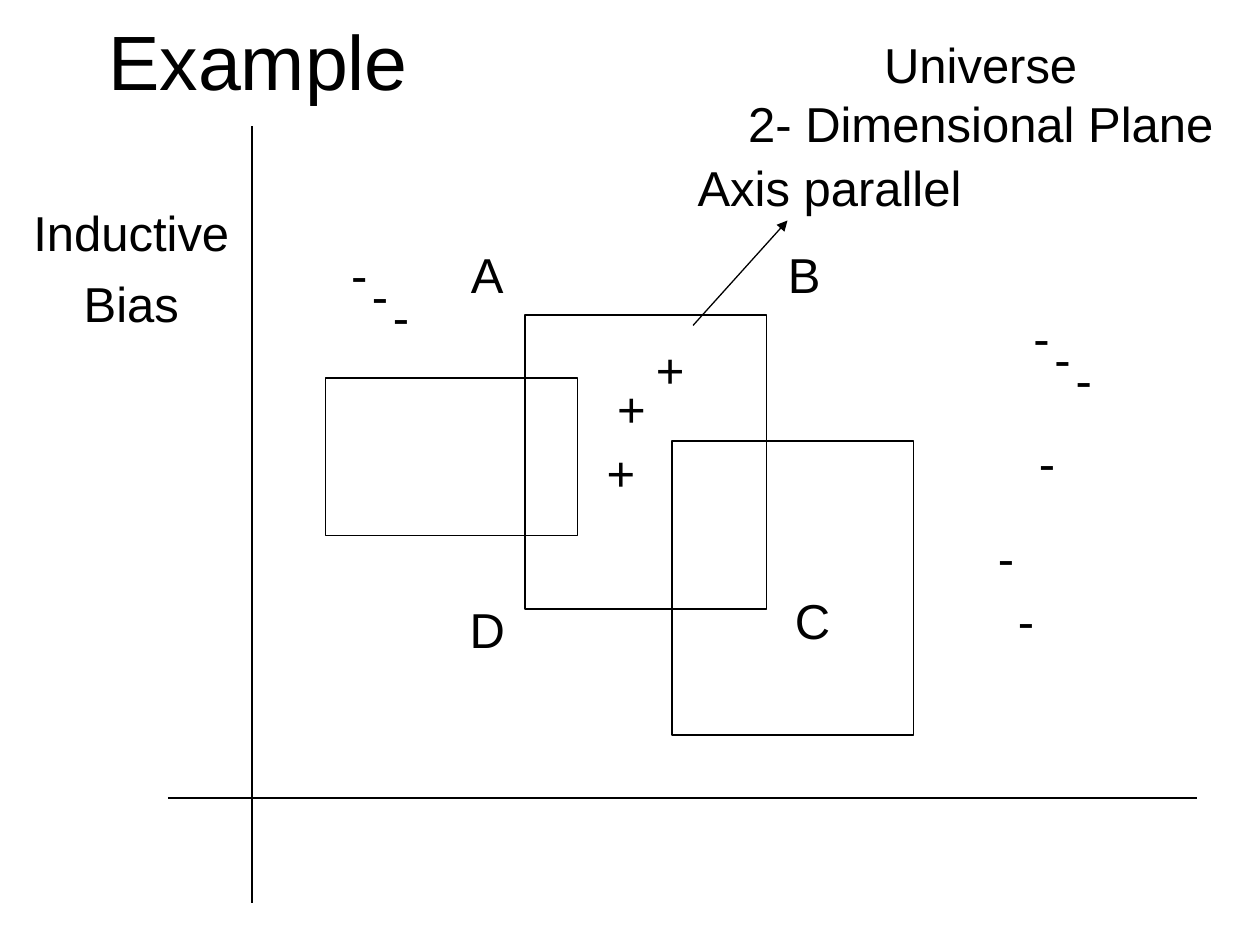
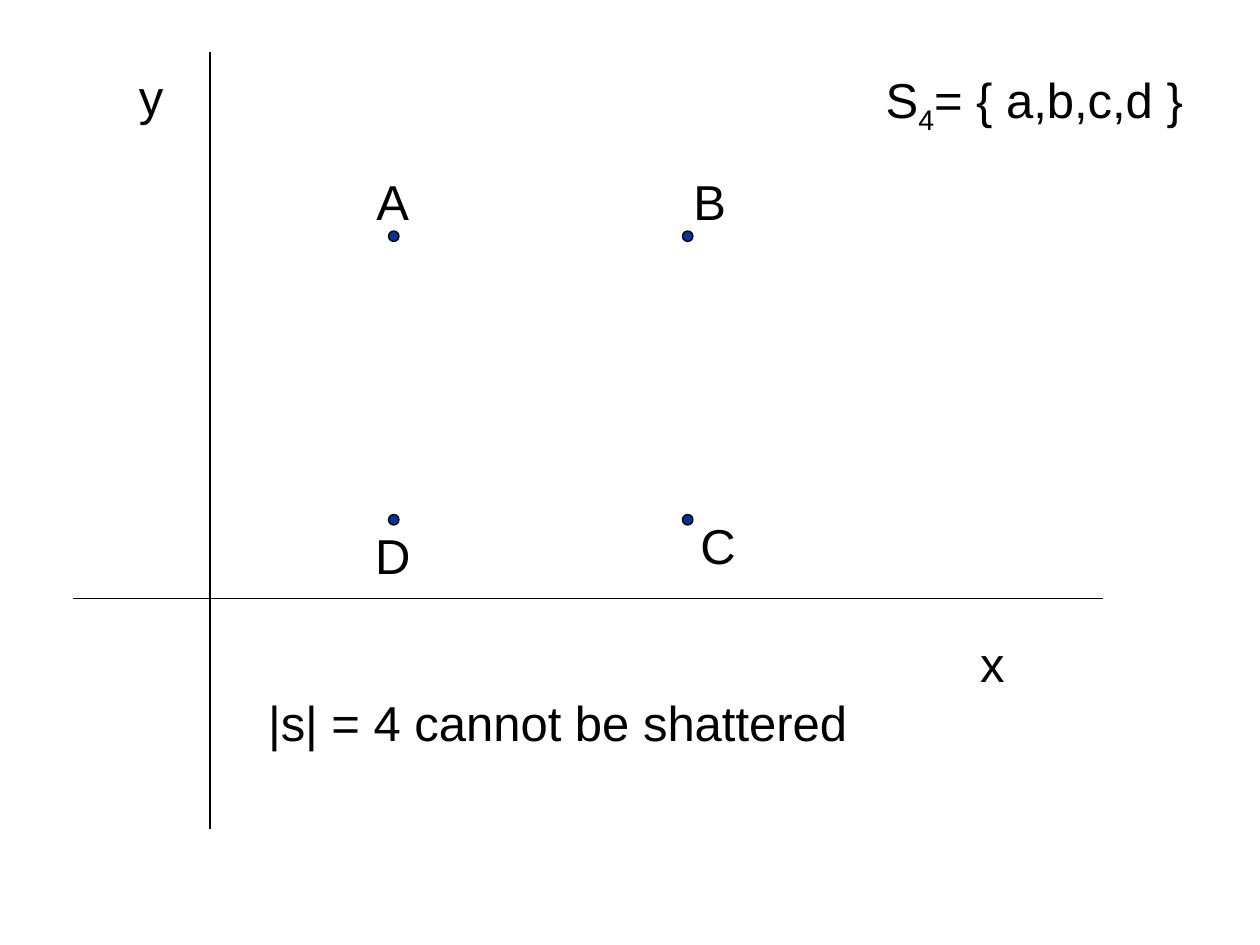
from dataclasses import dataclass

from lxml import etree
from pptx import Presentation
from pptx import util as u
from pptx.dml.color import RGBColor
from pptx.enum import shapes, text
from pptx.oxml import ns

COLUMNS, ROWS = 120, 90
SLIDE_WIDTH, SLIDE_HEIGHT = u.Inches(10), u.Inches(7.5)


@dataclass(frozen=True)
class Theme:
    font: str = "Arial"
    ink: RGBColor = RGBColor(0x00, 0x00, 0x00)
    dot: RGBColor = RGBColor(0x00, 0x33, 0x99)
    title_size: int = 44
    body_size: int = 28
    line_width: float = 0.75
    rows_per_point: float = 0.2
    inset_rows: float = 1.2


@dataclass(frozen=True)
class Run:
    text: str
    subscript: bool = False


@dataclass(frozen=True)
class Label:
    """Centred text; centre and width in columns, top in rows, gap in points."""
    paragraphs: tuple[tuple[Run, ...], ...]
    centre: float
    top: float
    width: float
    size: int = Theme.body_size
    gap: float = 0
    wrap: bool = False


@dataclass(frozen=True)
class Box:
    left: float
    top: float
    width: float
    height: float


@dataclass(frozen=True)
class Line:
    start: tuple[float, float]
    end: tuple[float, float]
    arrow: bool = False


THEME = Theme()
SIGN_WIDTHS = {"A": 5.5, "B": 5.5, "C": 5.8, "D": 5.8, "+": 5, "-": 4, "x": 4.7, "y": 4.7}


def column(count: float) -> int:
    return round(SLIDE_WIDTH * count / COLUMNS)


def row(count: float) -> int:
    return round(SLIDE_HEIGHT * count / ROWS)


def lines_of(*lines: str) -> tuple[tuple[Run, ...], ...]:
    return tuple((Run(line),) for line in lines)


def sign(character: str, centre: float, top: float) -> Label:
    return Label(lines_of(character), centre, top, SIGN_WIDTHS[character])


def falling_minuses(centre: float, top: float) -> list[Label]:
    """Three minus signs, each two columns right of and two rows below the last."""
    return [sign("-", centre + step, top + step) for step in (0, 2, 4)]


def axes(crossing: tuple[float, float], left: float, top: float) -> list[Line]:
    x, y = crossing
    return [Line((x, top), (x, top + 74)), Line((left, y), (left + 98, y))]


def draw_label(slide, label: Label) -> None:
    count = len(label.paragraphs)
    text_rows = (count * label.size + (count - 1) * label.gap) * THEME.rows_per_point
    shape = slide.shapes.add_textbox(
        column(label.centre - label.width / 2), row(label.top),
        column(label.width), row(text_rows + THEME.inset_rows))
    frame = shape.text_frame
    frame.word_wrap = label.wrap
    frame.auto_size = text.MSO_AUTO_SIZE.SHAPE_TO_FIT_TEXT
    for index, runs in enumerate(label.paragraphs):
        paragraph = frame.add_paragraph() if index else frame.paragraphs[0]
        paragraph.alignment = text.PP_ALIGN.CENTER
        if index and label.gap:
            paragraph.space_before = u.Pt(label.gap)
        for item in runs:
            run = paragraph.add_run()
            run.text = item.text
            run.font.name = THEME.font
            run.font.size = u.Pt(label.size)
            run.font.color.rgb = THEME.ink
            if item.subscript:
                run._r.get_or_add_rPr().set("baseline", "-25000")


def draw_box(slide, kind: shapes.MSO_SHAPE, box: Box, fill: RGBColor | None = None) -> None:
    shape = slide.shapes.add_shape(
        kind, column(box.left), row(box.top), column(box.width), row(box.height))
    shape.shadow.inherit = False
    if fill is None:
        shape.fill.background()
    else:
        shape.fill.solid()
        shape.fill.fore_color.rgb = fill
    shape.line.color.rgb = THEME.ink
    shape.line.width = u.Pt(THEME.line_width)


def draw_line(slide, line: Line) -> None:
    connector = slide.shapes.add_connector(
        shapes.MSO_CONNECTOR.STRAIGHT,
        column(line.start[0]), row(line.start[1]), column(line.end[0]), row(line.end[1]))
    connector.line.color.rgb = THEME.ink
    connector.line.width = u.Pt(THEME.line_width)
    if line.arrow:
        outline = connector.line._get_or_add_ln()
        etree.SubElement(outline, ns.qn("a:tailEnd"), type="triangle")
    etree.SubElement(connector._element.spPr, ns.qn("a:effectLst"))


def add_blank_slide(presentation):
    return presentation.slides.add_slide(presentation.slide_layouts[6])


def build_example(presentation) -> None:
    slide = add_blank_slide(presentation)
    rectangles = [Box(50, 30, 23, 28), Box(31, 36, 24, 15), Box(64, 42, 23, 28)]
    lines = axes((24, 76), left=16, top=12) + [Line((66, 31), (75, 21), arrow=True)]
    labels = [
        Label(lines_of("Example"), 24.6, 0.7, 31, size=THEME.title_size),
        sign("A", 46.4, 22.7), sign("B", 76.6, 22.7),
        sign("D", 46.4, 56.5), sign("C", 77.4, 55.6),
        sign("+", 63.8, 31.7), sign("+", 60.1, 35.5), sign("+", 59.1, 41.6),
        *falling_minuses(34.2, 22.7),
        *falling_minuses(99.2, 28.7),
        sign("-", 99.7, 40.6), sign("-", 95.8, 49.6), sign("-", 97.7, 55.6),
        Label(lines_of("Axis parallel"), 79, 14.4, 28),
        Label(lines_of("Universe", "2- Dimensional Plane"), 93.4, 2.7, 47),
        Label(lines_of("Inductive", "Bias"), 12.5, 18.7, 22, gap=7),
    ]
    for rectangle in rectangles:
        draw_box(slide, shapes.MSO_SHAPE.RECTANGLE, rectangle)
    for line in lines:
        draw_line(slide, line)
    for label in labels:
        draw_label(slide, label)


def build_four_points(presentation) -> None:
    slide = add_blank_slide(presentation)
    set_definition = ((Run("S"), Run("4", subscript=True), Run("= { a,b,c,d }")),)
    labels = [
        sign("A", 37.4, 15.7), sign("B", 67.6, 15.7),
        sign("D", 37.4, 49.5), sign("C", 68.4, 48.5),
        sign("x", 94.5, 59.7), sign("y", 14.4, 5.7),
        Label(lines_of("|s| = 4 cannot be shattered"), 53.1, 65.4, 58),
        Label(set_definition, 98.5, 6, 33, wrap=True),
    ]
    for line in axes((20, 57), left=7, top=5):
        draw_line(slide, line)
    for top in (22, 49):
        for left in (37, 65):
            draw_box(slide, shapes.MSO_SHAPE.OVAL, Box(left, top, 1, 1), THEME.dot)
    for label in labels:
        draw_label(slide, label)


def main() -> None:
    presentation = Presentation()
    presentation.slide_width, presentation.slide_height = SLIDE_WIDTH, SLIDE_HEIGHT
    build_example(presentation)
    build_four_points(presentation)
    presentation.save("out.pptx")


if __name__ == "__main__":
    main()
